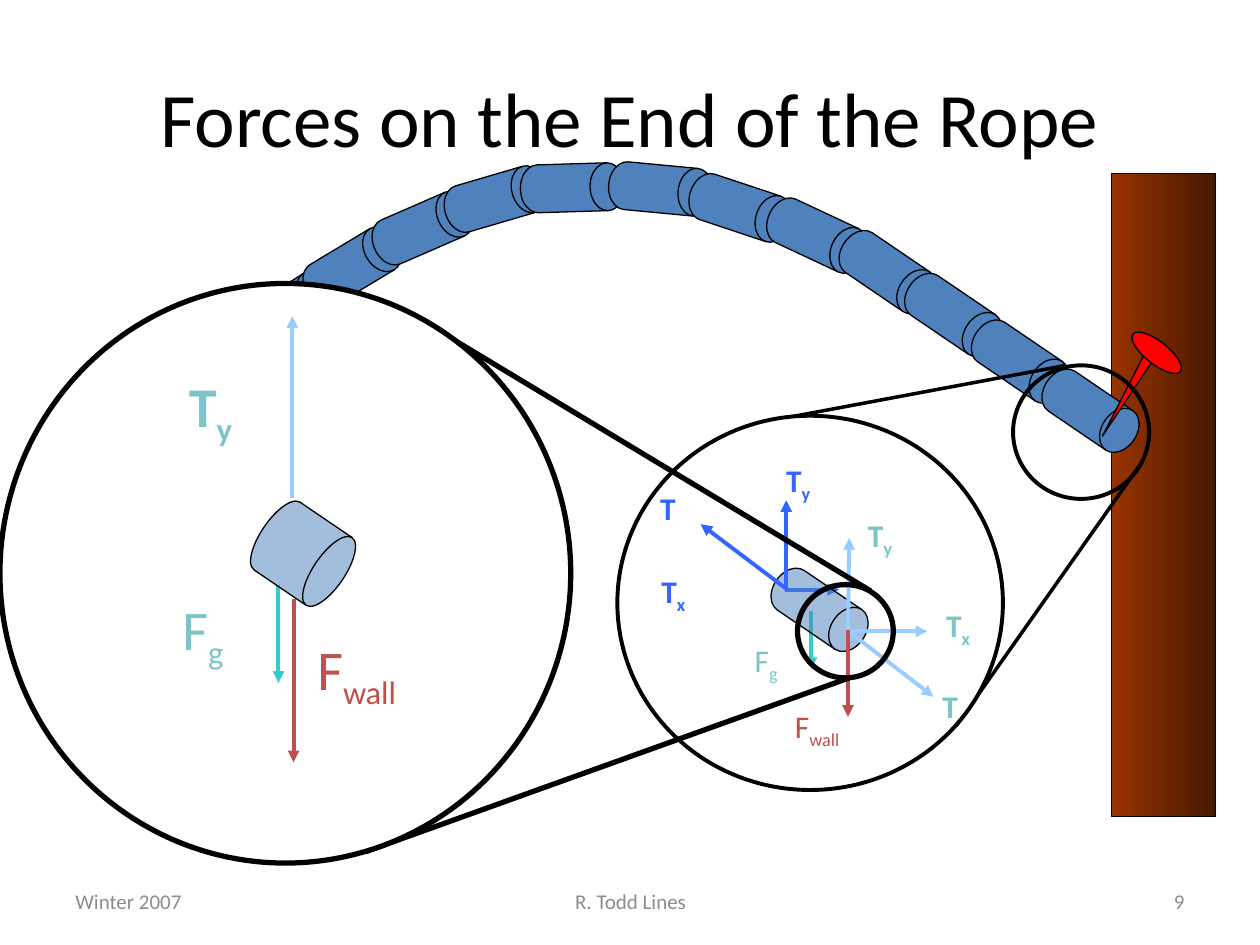
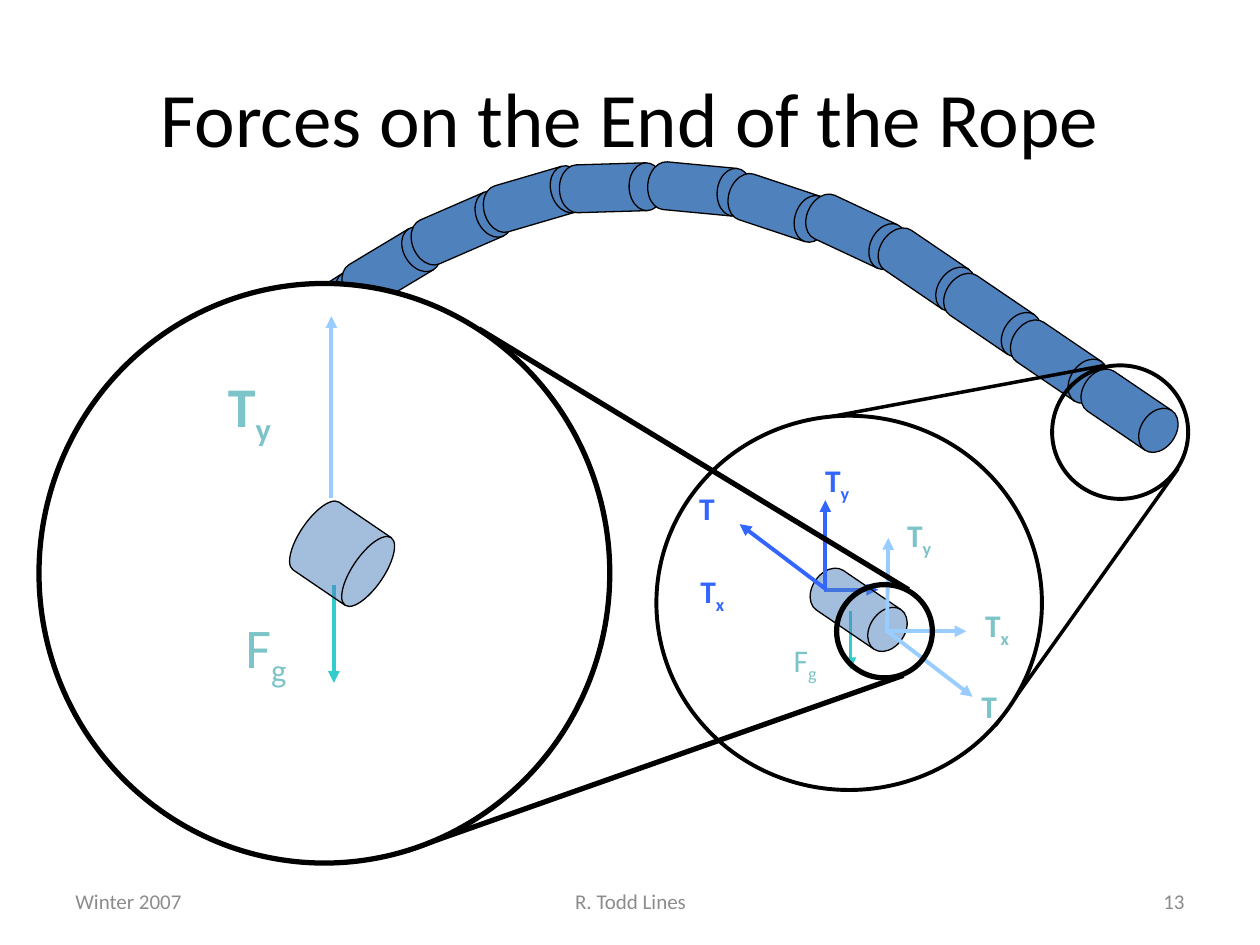
from pptx import Presentation
from pptx.dml.color import RGBColor
from pptx.enum.shapes import MSO_CONNECTOR as Link, MSO_SHAPE as Kind
from pptx.enum.text import MSO_ANCHOR as Anchor, MSO_AUTO_SIZE as Auto, PP_ALIGN as Align
from pptx.oxml.ns import qn
from pptx.util import Cm, Pt
from lxml.etree import SubElement

BLACK, WHITE, GREY = "000000", "FFFFFF", "8C8C8C"
ROPE, TEAL, SKY, BLUE = "4F81BD", "33CCCC", "99CCFF", "3366FF"
MINT, BRICK, RED = "7DC4C9", "C0504D", "FF0000"
WOOD = ("993300", "471800")


def rgb(code):
    return RGBColor.from_string(code)


def inch(size):
    return Cm(2.54 * size)


class Pen:
    """Holds the style and the current slide, and draws on it."""

    font = "Calibri"

    def __init__(self, deck):
        self.deck = deck
        self.shift = 0

    def page(self, title, number):
        self.shift = 0
        self.slide = self.deck.slides.add_slide(self.deck.slide_layouts[6])
        self.block((0.5, 6.95, 2.33, 0.4), "Winter 2007", 12, GREY, Align.LEFT)
        self.block((3.42, 6.95, 3.17, 0.4), "R. Todd Lines", 12, GREY, Align.CENTER)
        self.block((7.17, 6.95, 2.33, 0.4), str(number), 12, GREY, Align.RIGHT)
        self.block((0.5, 0.3, 9, 1.25), title, 44, BLACK, Align.CENTER)

    def place(self, x, y, w, h):
        return inch(x + self.shift), inch(y), inch(w), inch(h)

    def style(self, run, size, color, bold=False):
        font = run.font
        font.name, font.size, font.bold = self.font, Pt(size), bold
        font.color.rgb = rgb(color)

    def block(self, box, text, size, color, align):
        frame = self.slide.shapes.add_textbox(*self.place(*box)).text_frame
        frame.word_wrap = True
        frame.vertical_anchor = Anchor.MIDDLE
        frame.text = text
        para = frame.paragraphs[0]
        para.alignment = align
        self.style(para.runs[0], size, color)

    def label(self, box, name, sub, color, size=18, wrap=False):
        frame = self.slide.shapes.add_textbox(*self.place(*box)).text_frame
        frame.word_wrap = wrap
        frame.auto_size = Auto.SHAPE_TO_FIT_TEXT
        para = frame.paragraphs[0]
        para.text = name
        if sub:
            para.add_run().text = sub
        for run in para.runs:
            self.style(run, size, color, name == "T")
        if sub:
            para.runs[1].font._element.set("baseline", "-25000")

    def shape(self, kind, box, fill=None, width=0.75, turn=0):
        item = self.slide.shapes.add_shape(kind, *self.place(*box))
        item.shadow.inherit = False
        item.rotation = turn
        item.line.color.rgb = rgb(BLACK)
        item.line.width = Pt(width)
        if fill:
            item.fill.solid()
            item.fill.fore_color.rgb = rgb(fill)
        else:
            item.fill.background()
        return item

    def drum(self, box, turn, clear=False):
        item = self.shape(Kind.FLOWCHART_DIRECT_ACCESS_STORAGE, box, ROPE, turn=turn)
        if turn > 90:
            item._element.spPr.find(qn("a:xfrm")).set("flipH", "1")
        if clear:
            tint = item._element.spPr.find(qn("a:solidFill"))[0]
            SubElement(tint, qn("a:alpha")).set("val", "52000")

    def ring(self, box, width, fill=None):
        self.shape(Kind.OVAL, box, fill, width)

    def wall(self, box):
        fill = self.shape(Kind.RECTANGLE, box).fill
        fill.gradient()
        fill.gradient_angle = 0
        for stop, color, spot in zip(fill.gradient_stops, WOOD, (0, 1)):
            stop.color.rgb = rgb(color)
            stop.position = spot

    def line(self, x1, y1, x2, y2, width, color=BLACK):
        ends = inch(x1 + self.shift), inch(y1), inch(x2 + self.shift), inch(y2)
        item = self.slide.shapes.add_connector(Link.STRAIGHT, *ends)
        item.line.color.rgb = rgb(color)
        item.line.width = Pt(width)
        SubElement(item._element.spPr, qn("a:effectLst"))
        return item

    def arrow(self, x1, y1, x2, y2, color):
        item = self.line(x1, y1, x2, y2, 2.25, color)
        SubElement(item.line._get_or_add_ln(), qn("a:tailEnd")).set("type", "triangle")


def rope(pen, fixed):
    high, low = (1.68, 1.97) if fixed else (1.65, 1.95)
    parts = [(0.77, 3.05, 148.4), (1.33, 2.66, 144.8), (1.86, 2.29, 147.4),
             (2.38, 1.93, 149), (2.94, 1.62, 156.5), (3.52, 1.39, 163.7),
             (4.13, 1.3, 178.3), (4.83, 1.31, 5.4), (5.46, 1.46, 18.4),
             (6.07, high, 25.1), (6.63, low, 34.2), (7.15, 2.31, 34.2),
             (7.68, 2.68, 34.2), (8.24, 3.07, 34.2)]
    for x, y, turn in parts:
        pen.drum((x, y, 0.83, 0.38), turn)


def pin(pen):
    pen.shape(Kind.ISOSCELES_TRIANGLE, (8.92, 2.65, 0.1, 0.87), RED, turn=210.4)
    pen.shape(Kind.OVAL, (8.94, 2.71, 0.48, 0.18), RED, turn=38.2)


def middle(pen, fixed):
    pen.ring((8.04, 2.9, 1.08, 1.06), 2.25)
    pen.line(8.46, 2.9, 6.16, 3.33, 2)
    pen.line(9.04, 3.7 if fixed else 3.72, 7.59, 5.76, 2)
    pen.ring((4.9, 3.3, 3.06, 2.97), 2.25, WHITE)
    pen.arrow(6.44, 4.85, 6.44, 5.31, TEAL)
    pen.arrow(6.23, 4.68, 6.66, 4.68, BLUE)
    pen.drum((6.09, 4.65, 0.83, 0.38), 34.2, True)
    pen.arrow(6.24, 4.66, 6.24, 3.97, BLUE)
    pen.arrow(6.25, 4.68, 5.56, 4.16, BLUE)
    pen.label((5.14, 3.83, 0.35, 0.4), "T", "", BLUE)
    pen.label((5.15, 4.49, 0.45, 0.4), "T", "x", BLUE)
    pen.label((6.14, 3.61, 0.45, 0.4), "T", "y", BLUE)
    pen.arrow(6.73, 5.02, 6.74, 4.27, SKY)
    pen.arrow(6.74, 5.01, 7.36, 5.01, SKY)
    pen.arrow(6.72, 5, 7.41, 5.53, SKY)
    pen.label((7.38, 5.4, 0.35, 0.4), "T", "", MINT)
    pen.label((6.79, 4.05, 0.45, 0.4), "T", "y", MINT, wrap=True)
    pen.label((7.41, 4.76, 0.45, 0.4), "T", "x", MINT)
    pen.label((5.89, 5.04, 0.45, 0.4), "F", "g", MINT)
    if fixed:
        pen.arrow(6.73, 5, 6.73, 5.69, BRICK)
        pen.label((6.21, 5.56, 0.64, 0.4), "F", "wall", BRICK)


def close(pen, fixed):
    pen.ring((6.33, 4.64, 0.76, 0.74), 3)
    if fixed:
        rays = (6.91, 4.69, 3.59, 2.69), (6.74, 5.38, 2.9, 6.76)
        mark, pull = (1.35, 4.67), 2.21
    else:
        rays = (6.9, 4.68, 3.49, 2.61), (6.86, 5.36, 2.92, 6.75)
        mark, pull = (1.54, 4.81), 2.34
    for ray in rays:
        pen.line(*ray, 3)
    pen.ring((0, 2.25, 4.53, 4.6), 3, WHITE)
    pen.label((1.4, 2.9, 0.86, 0.63), "T", "y", MINT, 32, True)
    pen.label((*mark, 0.64, 0.63), "F", "g", MINT, 32)
    pen.arrow(pull, 4.64, pull, 5.42, TEAL)
    pen.drum((2.03, 4.07, 0.75, 0.65), 34.2, True)
    pen.arrow(2.32, 3.95, 2.32, 2.51, SKY)
    if fixed:
        pen.arrow(2.33, 4.75, 2.33, 6.05, BRICK)
        pen.label((2.42, 4.99, 0.97, 0.64), "F", "wall", BRICK, 32)


def main():
    deck = Presentation()
    deck.slide_width, deck.slide_height = Cm(25.4), Cm(19.05)
    pen = Pen(deck)
    for number, fixed, shift in ((9, True, 0), (13, False, 0.31)):
        pen.page("Forces on the End of the Rope", number)
        pen.shift = shift
        if fixed:
            pen.wall((8.82, 1.38, 0.83, 5.1))
        rope(pen, fixed)
        if fixed:
            pin(pen)
        middle(pen, fixed)
        close(pen, fixed)
    deck.save("out.pptx")


if __name__ == "__main__":
    main()
